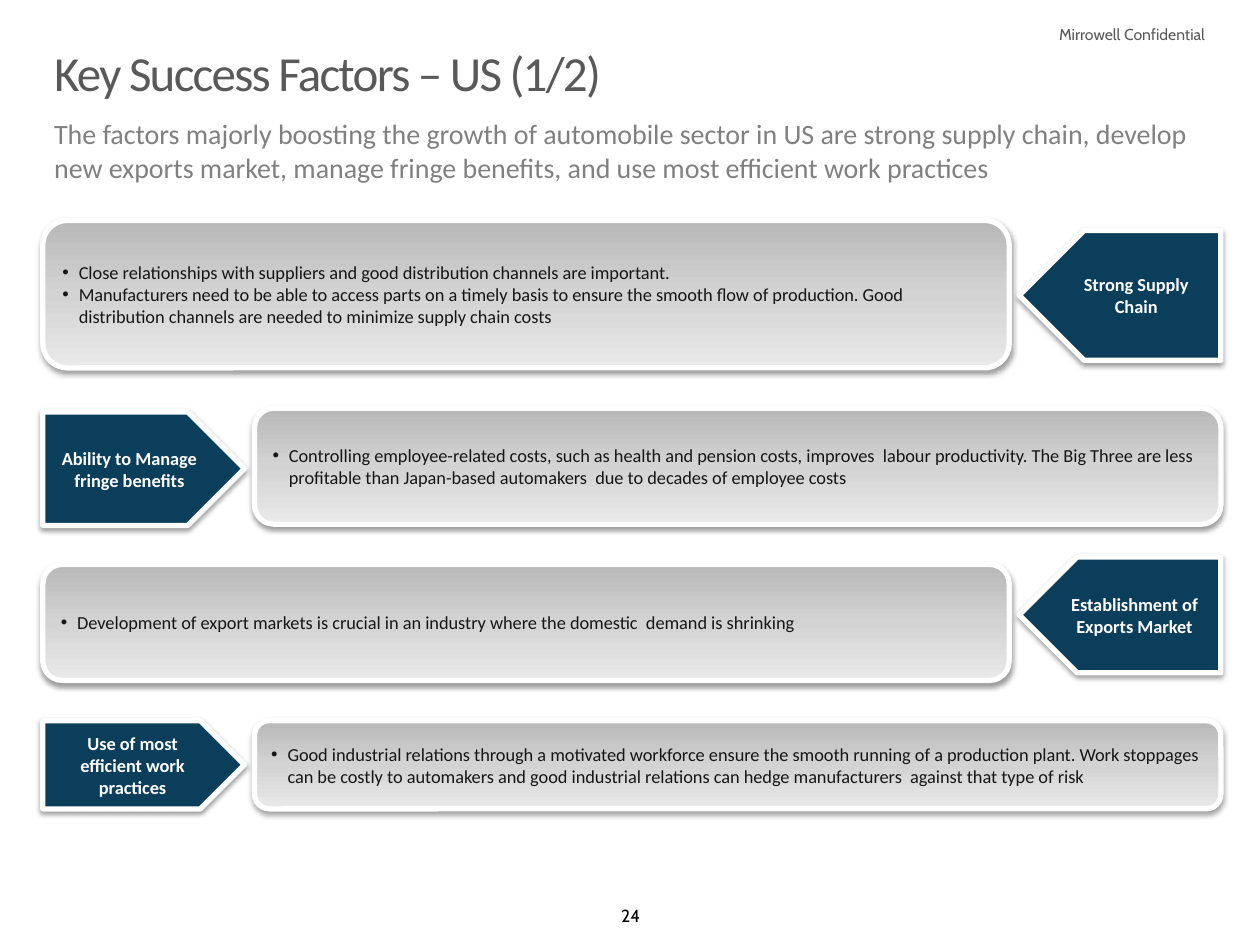
from lxml.etree import SubElement
from pptx import Presentation
from pptx.dml.color import RGBColor
from pptx.enum.shapes import MSO_SHAPE
from pptx.enum.text import MSO_ANCHOR, PP_ALIGN
from pptx.oxml.ns import qn
from pptx.util import Pt

PX = 9144
LEFT, RIGHT = 34, 969
PANEL_W, ARROW_W = 767, 160
NAVY, WHITE, INK, GREY = "0B3E5B", "FFFFFF", "161616", "595959"
PANEL_STOPS = [(0, "B8B8B8"), (50, "D3D3D3"), (100, "E9E9E9")]
BODY = {"name": "Calibri", "size": Pt(10.5)}

ROWS = [
    ("Strong Supply Chain", "right", (175, 117), (183, 103), [
        "Close relationships with suppliers and good distribution channels are important.",
        "Manufacturers need to be able to access parts on a timely basis to ensure the smooth flow of "
        "production. Good distribution channels are needed to minimize supply chain costs"]),
    ("Ability to Manage fringe benefits", "left", (324, 92), (327, 90), [
        "Controlling employee-related costs, such as health and pension costs, improves  labour "
        "productivity. The Big Three are less profitable than Japan-based automakers  due to decades "
        "of employee costs"]),
    ("Establishment of Exports Market", "right", (448, 92), (442, 92), [
        "Development of export markets is crucial in an industry where the domestic  demand is shrinking"]),
    ("Use of most efficient work practices", "left", (572, 70), (572, 70), [
        "Good industrial relations through a motivated workforce ensure the smooth running of a "
        "production plant. Work stoppages can be costly to automakers and good industrial relations "
        "can hedge manufacturers  against that type of risk"]),
]


def rgb(value):
    return RGBColor.from_string(value)


def emu(box):
    return [n * PX for n in box]


def apply(target, formats):
    for name, value in formats.items():
        setattr(target, name, value)


def add_run(p, text, color, **formats):
    r = p.add_run()
    r.text = text
    apply(r.font, formats)
    r.font.color.rgb = rgb(color)
    return r


def add_bullet(p):
    pPr = p._p.get_or_add_pPr()
    pPr.set("marL", str(13 * PX))
    pPr.set("indent", str(-13 * PX))
    SubElement(pPr, qn("a:buFont"), typeface="Arial")
    SubElement(pPr, qn("a:buChar"), char="•")


def add_gradient(sp, stops):
    grad = SubElement(sp._element.spPr, qn("a:gradFill"))
    gs_list = SubElement(grad, qn("a:gsLst"))
    for pos, color in stops:
        gs = SubElement(gs_list, qn("a:gs"), pos=str(pos * 1000))
        SubElement(gs, qn("a:srgbClr"), val=color)
    SubElement(grad, qn("a:lin"), ang="5400000", scaled="0")


def add_outline_and_shadow(sp):
    sp.line.color.rgb = rgb(WHITE)
    sp.line.width = Pt(3)
    sp.shadow.inherit = False
    effects = sp._element.spPr.find(qn("a:effectLst"))
    shadow = SubElement(effects, qn("a:outerShdw"), blurRad=str(Pt(3.1)), dist=str(Pt(1.6)),
                        dir="5400000", rotWithShape="0")
    color = SubElement(shadow, qn("a:srgbClr"), val="000000")
    SubElement(color, qn("a:alpha"), val="38000")


def add_panel(s, box, bullets):
    sp = s.shapes.add_shape(MSO_SHAPE.ROUNDED_RECTANGLE, *emu(box))
    add_gradient(sp, PANEL_STOPS)
    add_outline_and_shadow(sp)
    tf = sp.text_frame
    apply(tf, {"word_wrap": True, "vertical_anchor": MSO_ANCHOR.MIDDLE})
    for i, text in enumerate(bullets):
        p = tf.add_paragraph() if i else tf.paragraphs[0]
        p.alignment = PP_ALIGN.LEFT
        add_bullet(p)
        add_run(p, text, INK, **BODY)


def add_arrow(s, box, label, flipped):
    sp = s.shapes.add_shape(MSO_SHAPE.PENTAGON, *emu(box))
    if flipped:
        sp._element.spPr.xfrm.set("flipH", "1")
    sp.fill.solid()
    sp.fill.fore_color.rgb = rgb(NAVY)
    add_outline_and_shadow(sp)
    tf = sp.text_frame
    apply(tf, {"word_wrap": True, "vertical_anchor": MSO_ANCHOR.MIDDLE})
    p = tf.paragraphs[0]
    p.alignment = PP_ALIGN.CENTER
    add_run(p, label, WHITE, bold=True, **BODY)


def add_factor(s, label, side, panel_span, arrow_span, bullets):
    on_right = side == "right"
    panel_x = LEFT if on_right else RIGHT - PANEL_W
    arrow_x = RIGHT - ARROW_W if on_right else LEFT
    add_panel(s, (panel_x, panel_span[0], PANEL_W, panel_span[1]), bullets)
    add_arrow(s, (arrow_x, arrow_span[0], ARROW_W, arrow_span[1]), label, on_right)


def add_title(s, box, text):
    title = s.shapes.title
    apply(title, dict(zip(("left", "top", "width", "height"), emu(box))))
    tf = title.text_frame
    apply(tf, {"margin_left": 0, "margin_top": 0, "margin_right": 0, "margin_bottom": 0,
               "word_wrap": True, "vertical_anchor": MSO_ANCHOR.TOP})
    p = tf.paragraphs[0]
    apply(p, {"alignment": PP_ALIGN.LEFT, "line_spacing": 0.9})
    r = add_run(p, text, GREY, name="Calibri", size=Pt(28))
    r.font._element.set("spc", "-100")


def add_text(s, box, text, color, align, font, frame):
    tf = s.shapes.add_textbox(*emu(box)).text_frame
    apply(tf, {"word_wrap": True, **frame})
    p = tf.paragraphs[0]
    p.alignment = align
    add_run(p, text, color, **font)


def main():
    prs = Presentation()
    prs.slide_width, prs.slide_height = emu((1000, 750))
    s = prs.slides.add_slide(prs.slide_layouts[5])
    add_title(s, (43, 39, 915, 56), "Key Success Factors – US (1/2)")
    add_text(s, (43, 92, 913, 54),
             "The factors majorly boosting the growth of automobile sector in US are strong supply chain, "
             "develop new exports market, manage fringe benefits, and use most efficient work practices",
             "808080", PP_ALIGN.LEFT, {"name": "Calibri", "size": Pt(16)},
             {"margin_left": 0, "margin_top": 0, "margin_right": 0, "margin_bottom": 0,
              "vertical_anchor": MSO_ANCHOR.BOTTOM})
    add_text(s, (802, 15, 164, 25), "Mirrowell Confidential", GREY, PP_ALIGN.RIGHT,
             {"name": "Cabin", "size": Pt(9)}, {})
    for row in ROWS:
        add_factor(s, *row)
    add_text(s, (475, 713, 51, 27), "24", "000000", PP_ALIGN.CENTER,
             {"name": "Cabin", "size": Pt(10)}, {})
    prs.save("out.pptx")


if __name__ == "__main__":
    main()
